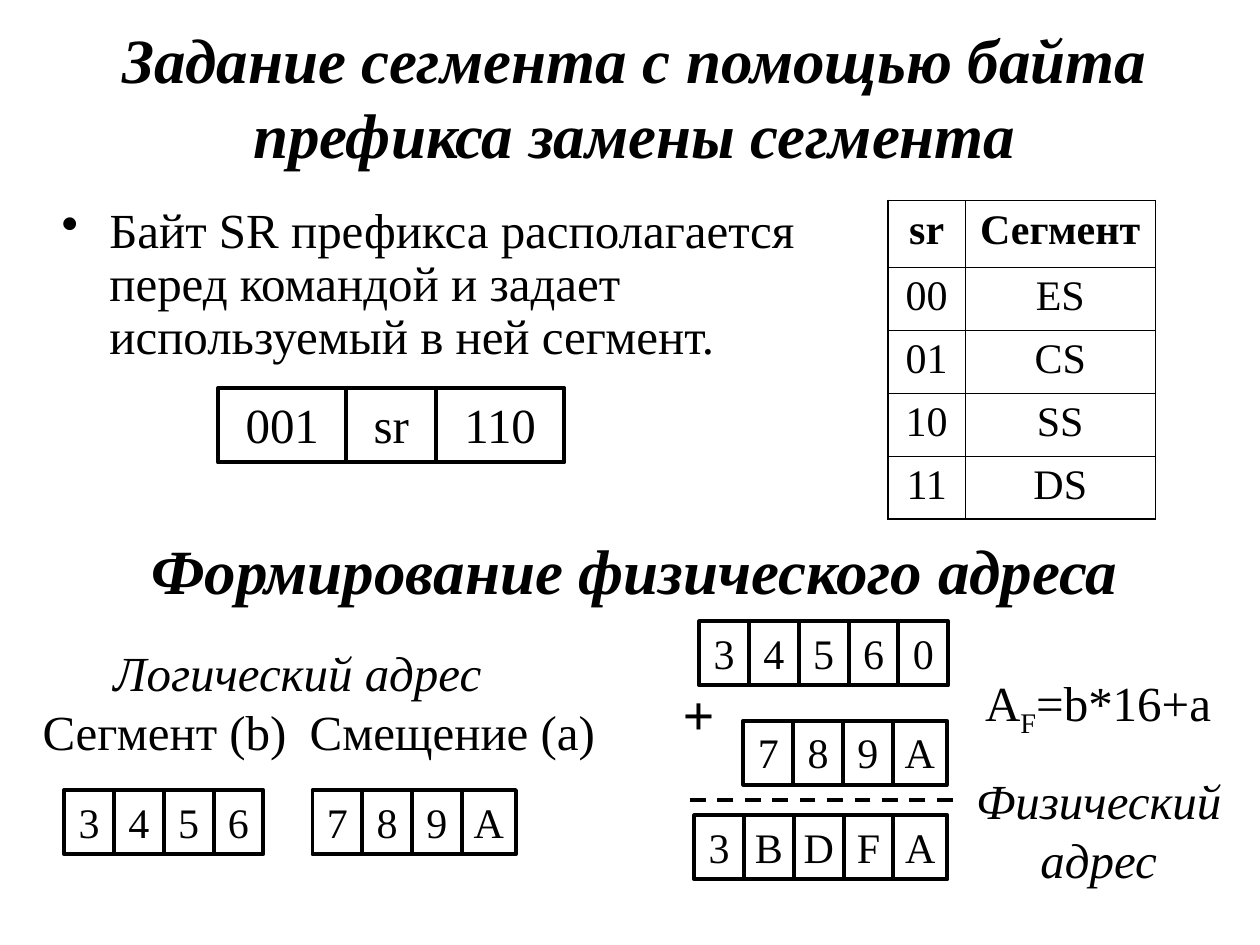
"""Build the slide on segment override prefixes and physical addresses."""
import pptx
import pptx.util
import pptx.dml.color
import pptx.enum.dml
import pptx.enum.shapes
import pptx.enum.text
import pptx.oxml
import pptx.oxml.ns
from lxml import etree

Inches = pptx.util.Inches
Pt = pptx.util.Pt
ALIGN = pptx.enum.text.PP_ALIGN
ANCHOR = pptx.enum.text.MSO_ANCHOR
COLORS = {"ink": "000000"}
FONT = "Times New Roman"
LINE_WIDTH = 2.25

HEADINGS = [
    ("Задание сегмента с помощью байта префикса замены сегмента", (0.43, 0.17, 9.21, 1.18)),
    ("Формирование физического адреса", (0.43, 4.14, 9.21, 0.75)),
]
RULE = ("Байт SR префикса располагается перед командой и задает используемый в ней сегмент.",
        (0.39, 1.59, 6.1, 1.53))
LABELS = [
    ("Логический адрес", (0.55, 5.05, 3.62, 0.54), ALIGN.CENTER, {"size": 28, "italic": True}),
    ("Сегмент (b)", (0.24, 5.52, 2.2, 0.54), ALIGN.LEFT, {"size": 28}),
    ("Смещение (a)", (2.36, 5.52, 2.6, 0.54), ALIGN.LEFT, {"size": 28}),
    ("Физический адрес", (7.6, 6.07, 2.24, 0.93), ALIGN.CENTER, {"size": 28, "italic": True}),
    ("+", (5.32, 5.34, 0.47, 0.54), ALIGN.LEFT, {"size": 32, "bold": True}),
]
FORMULA = [("A", 0), ("F", -25000), ("=b*16+a", 0)]
FORMULA_BOX = (7.72, 5.29, 2.05, 0.54)

PREFIX_FIELDS = [("001", 1.02), ("sr", 0.71), ("110", 1.02)]
DIGIT_ROWS = [
    ("3456", 0.51, 6.27),
    ("789А", 2.48, 6.27),
    ("34560", 5.55, 4.93),
    ("789А", 5.9, 5.72),
    ("3BDFА", 5.51, 6.47),
]
DIGIT_WIDTH = 1.58 / 4
LETTER_WIDTH = 0.43

SEGMENTS = [("sr", "Сегмент"), ("00", "ES"), ("01", "CS"), ("10", "SS"), ("11", "DS")]
COLUMN_WIDTHS = [0.61, 1.51]
ROW_HEIGHTS = [0.53, 0.5, 0.5, 0.5, 0.5]
OUTER_BORDER, INNER_BORDER = 1.08, 0.45


def ink():
    return pptx.dml.color.RGBColor.from_string(COLORS["ink"])


def style(paragraph, align, size, bold=False, italic=False):
    paragraph.alignment = align
    font = paragraph.font
    font.name, font.size, font.bold, font.italic = FONT, Pt(size), bold, italic
    font.color.rgb = ink()


def add_text(slide, text, box, align, look, anchor=ANCHOR.TOP):
    frame = slide.shapes.add_textbox(*map(Inches, box)).text_frame
    frame.word_wrap = True
    frame.vertical_anchor = anchor
    paragraph = frame.paragraphs[0]
    paragraph.text = text
    style(paragraph, align, **look)
    return paragraph


def add_rule(slide):
    text, box = RULE
    paragraph = add_text(slide, text, box, ALIGN.LEFT, {"size": 28})
    paragraph.line_spacing = 0.9
    properties = paragraph._p.get_or_add_pPr()
    properties.set("marL", str(Inches(0.38)))
    properties.set("indent", str(-Inches(0.38)))
    bullet = etree.Element(pptx.oxml.ns.qn("a:buChar"), char="•")
    properties.find(pptx.oxml.ns.qn("a:defRPr")).addprevious(bullet)


def add_formula(slide):
    paragraph = add_text(slide, "", FORMULA_BOX, ALIGN.LEFT, {"size": 28})
    for text, baseline in FORMULA:
        run = paragraph.add_run()
        run.text = text
        if baseline:
            run._r.get_or_add_rPr().set("baseline", str(baseline))


def add_cells(slide, cells, left, top, height, size):
    for text, width in cells:
        cell = slide.shapes.add_shape(pptx.enum.shapes.MSO_SHAPE.RECTANGLE,
                                      *map(Inches, (left, top, width, height)))
        cell.shadow.inherit = False
        cell.fill.background()
        cell.line.color.rgb = ink()
        cell.line.width = Pt(LINE_WIDTH)
        frame = cell.text_frame
        frame.word_wrap = False
        frame.vertical_anchor = ANCHOR.TOP
        frame.paragraphs[0].text = text
        style(frame.paragraphs[0], ALIGN.CENTER, size)
        left += width


def set_borders(cell, outer_sides):
    properties = cell._tc.get_or_add_tcPr()
    for position, side in enumerate("LRTB"):
        width = OUTER_BORDER if outer_sides[side] else INNER_BORDER
        border = pptx.oxml.parse_xml(
            f'<a:ln{side} {pptx.oxml.ns.nsdecls("a")} w="{Pt(width)}"><a:solidFill>'
            f'<a:srgbClr val="{COLORS["ink"]}"/></a:solidFill></a:ln{side}>')
        properties.insert(position, border)


def add_segment_table(slide):
    table = slide.shapes.add_table(
        len(SEGMENTS), len(COLUMN_WIDTHS), Inches(7.05), Inches(1.59),
        Inches(sum(COLUMN_WIDTHS)), Inches(sum(ROW_HEIGHTS))).table
    table.horz_banding = False
    for column, width in zip(table.columns, COLUMN_WIDTHS):
        column.width = Inches(width)
    last_row, last_column = len(SEGMENTS) - 1, len(COLUMN_WIDTHS) - 1
    for r, entries in enumerate(SEGMENTS):
        table.rows[r].height = Inches(ROW_HEIGHTS[r])
        for c, text in enumerate(entries):
            cell = table.cell(r, c)
            cell.fill.background()
            set_borders(cell, {"L": c == 0, "R": c == last_column,
                               "T": r == 0, "B": r == last_row})
            paragraph = cell.text_frame.paragraphs[0]
            paragraph.text = text
            style(paragraph, ALIGN.CENTER, 24, bold=r == 0)


def add_sum_line(slide):
    sum_line = slide.shapes.add_connector(
        pptx.enum.shapes.MSO_CONNECTOR.STRAIGHT, *map(Inches, (7.56, 6.35, 5.43, 6.35)))
    sum_line.line.color.rgb = ink()
    sum_line.line.width = Pt(LINE_WIDTH)
    sum_line.line.dash_style = pptx.enum.dml.MSO_LINE.DASH
    etree.SubElement(sum_line._element.spPr, pptx.oxml.ns.qn("a:effectLst"))


def main():
    deck = pptx.Presentation()
    deck.slide_width, deck.slide_height = Inches(10), Inches(7.5)
    slide = deck.slides.add_slide(deck.slide_layouts[6])
    for text, box in HEADINGS:
        add_text(slide, text, box, ALIGN.CENTER,
                 {"size": 36, "bold": True, "italic": True}, ANCHOR.MIDDLE)
    add_rule(slide)
    add_cells(slide, PREFIX_FIELDS, 1.73, 3.08, 0.59, 28)
    add_segment_table(slide)
    for digits, left, top in DIGIT_ROWS:
        cells = [(d, LETTER_WIDTH if d == "А" else DIGIT_WIDTH) for d in digits]
        add_cells(slide, cells, left, top, 0.51, 24)
    for label in LABELS:
        add_text(slide, *label)
    add_sum_line(slide)
    add_formula(slide)
    deck.save("out.pptx")


if __name__ == "__main__":
    main()
